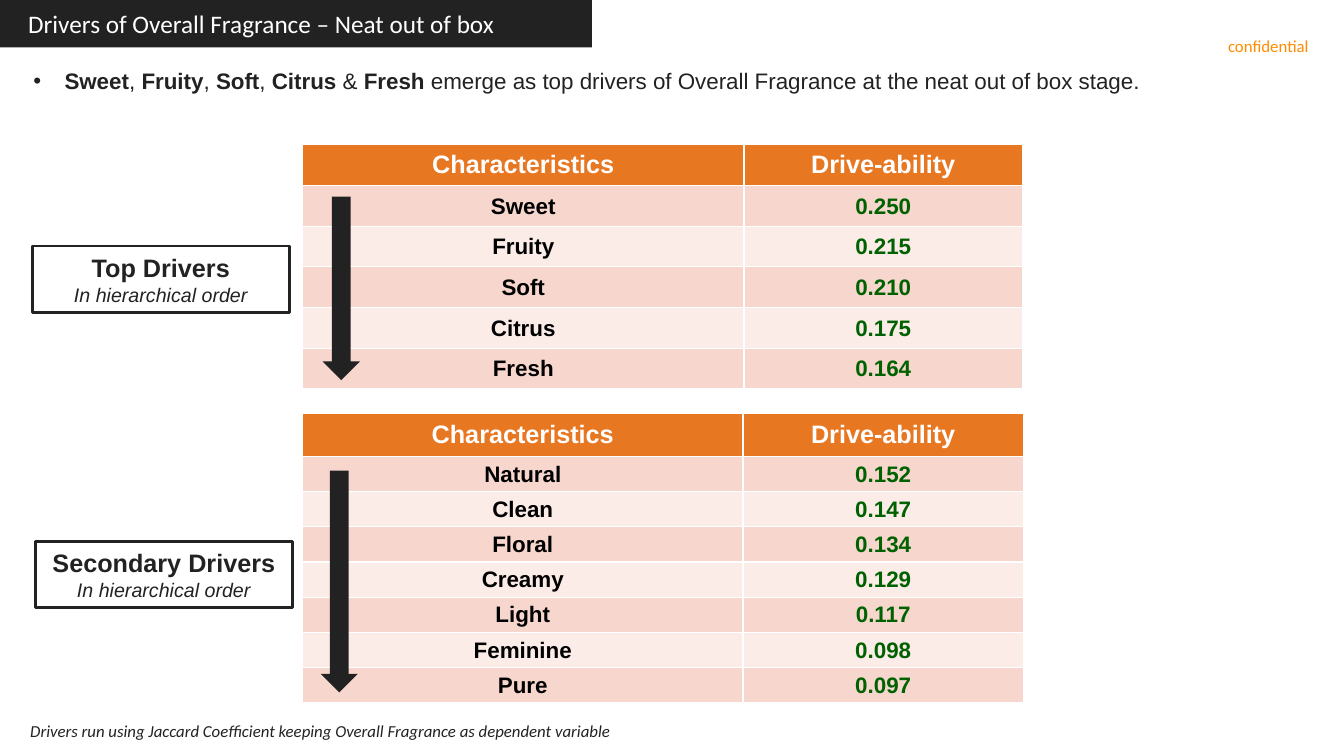
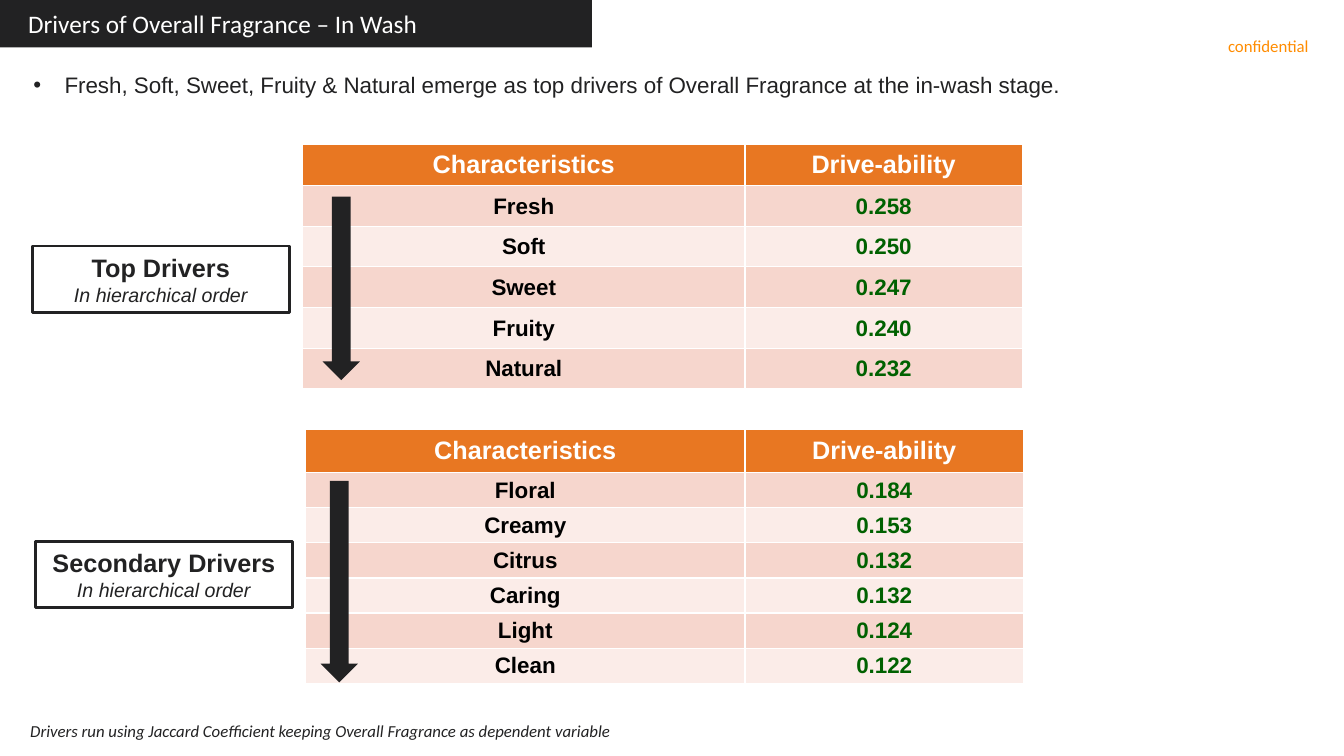
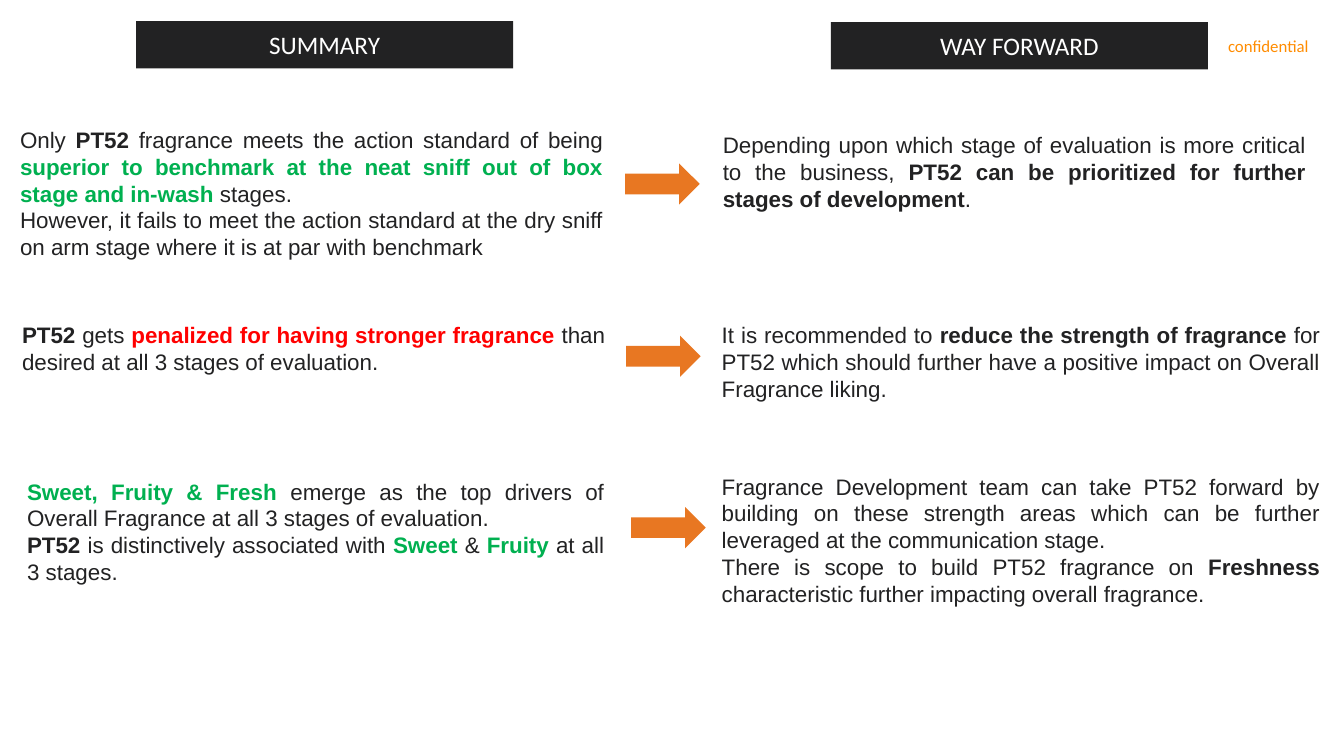
from dataclasses import dataclass
from typing import NamedTuple

import pptx
import pptx.dml.color
import pptx.enum.shapes
import pptx.enum.text
import pptx.util
from pptx.util import Inches

RGBColor = pptx.dml.color.RGBColor
Align = pptx.enum.text.PP_ALIGN
Anchor = pptx.enum.text.MSO_ANCHOR
Preset = pptx.enum.shapes.MSO_SHAPE

INK = RGBColor(0x22, 0x22, 0x23)
WHITE = RGBColor(0xFF, 0xFF, 0xFF)
BLACK = RGBColor(0x00, 0x00, 0x00)
ORANGE = RGBColor(0xE8, 0x77, 0x22)
CONFIDENTIAL_ORANGE = RGBColor(0xFF, 0x8C, 0x00)
SCORE_GREEN = RGBColor(0x00, 0x61, 0x00)
PRAISE_GREEN = RGBColor(0x00, 0xB0, 0x50)
ALERT_RED = RGBColor(0xFF, 0x00, 0x00)
ROW_TINTS = (RGBColor(0xF6, 0xD6, 0xCD), RGBColor(0xFB, 0xEC, 0xE8))

HEADING_FONT = "Calibri"
BODY_FONT = "Arial"
BAND_HEIGHT = 0.47
TITLE_AND_CONTENT, TITLE_ONLY = 1, 5
FOOTNOTE = "Drivers run using Jaccard Coefficient keeping Overall Fragrance as dependent variable"


class Box(NamedTuple):
    left: float
    top: float
    width: float
    height: float

    def lengths(self) -> tuple:
        return tuple(Inches(value) for value in self)


class Run(NamedTuple):
    text: str
    bold: bool = False
    color: RGBColor = INK


@dataclass
class DriverGroup:
    label: str
    label_box: Box
    table_box: Box
    header_height: float
    first_column: float
    arrow_box: Box
    scores: dict[str, str]


@dataclass
class DriverSlide:
    title: str
    bullet: list[Run]
    bullet_top: float
    groups: list[DriverGroup]


@dataclass
class Finding:
    summary_box: Box
    summary: list[list[Run]]
    action_box: Box
    action: list[list[Run]]
    arrow_left: float
    arrow_top: float


TOP_LABEL = Box(0.32, 2.44, 2.55, 0.66)
SECONDARY_LABEL = Box(0.35, 5.37, 2.55, 0.66)
TOP_TABLE = Box(3, 1.43, 7.14, 2.43)
TOP_ARROW = Box(3.2, 1.95, 0.37, 1.82)

DRIVER_SLIDES = [
    DriverSlide(
        "Drivers of Overall Fragrance – Neat out of box",
        [Run("Sweet", True), Run(", "), Run("Fruity", True), Run(", "), Run("Soft", True),
         Run(", "), Run("Citrus ", True), Run("& "), Run("Fresh ", True),
         Run("emerge as top drivers of Overall Fragrance at the neat out of box stage.")],
        0.62,
        [DriverGroup("Top Drivers", TOP_LABEL, TOP_TABLE, 0.41, 4.38, TOP_ARROW,
                     {"Sweet": "0.250", "Fruity": "0.215", "Soft": "0.210",
                      "Citrus": "0.175", "Fresh": "0.164"}),
         DriverGroup("Secondary Drivers", SECONDARY_LABEL, Box(3, 4.1, 7.15, 2.87), 0.43, 4.37,
                     Box(3.18, 4.67, 0.37, 2.2),
                     {"Natural": "0.152", "Clean": "0.147", "Floral": "0.134", "Creamy": "0.129",
                      "Light": "0.117", "Feminine": "0.098", "Pure": "0.097"})]),
    DriverSlide(
        "Drivers of Overall Fragrance – In Wash",
        [Run("Fresh, Soft, Sweet, Fruity & Natural emerge as top drivers of Overall Fragrance "
             "at the in-wash stage.")],
        0.66,
        [DriverGroup("Top Drivers", TOP_LABEL, TOP_TABLE, 0.41, 4.39, TOP_ARROW,
                     {"Fresh": "0.258", "Soft": "0.250", "Sweet": "0.247",
                      "Fruity": "0.240", "Natural": "0.232"}),
         DriverGroup("Secondary Drivers", SECONDARY_LABEL, Box(3.03, 4.26, 7.12, 2.52), 0.43, 4.36,
                     Box(3.18, 4.77, 0.37, 2),
                     {"Floral": "0.184", "Creamy": "0.153", "Citrus": "0.132",
                      "Caring": "0.132", "Light": "0.124", "Clean": "0.122"})]),
]

FINDINGS = [
    Finding(
        Box(0.1, 1.2, 5.98, 1.45),
        [[Run("Only "), Run("PT52 ", True), Run("fragrance meets the action standard of being "),
          Run("superior to benchmark at the neat sniff out of box stage and in-wash",
              True, PRAISE_GREEN),
          Run(" stages.")],
         [Run("However, it fails to meet the action standard at the dry sniff on arm stage "
              "where it is at par with benchmark")]],
        Box(7.07, 1.25, 5.98, 0.91),
        [[Run("Depending upon which stage of evaluation is more critical to the business, "),
          Run("PT52 can be prioritized for further stages of development", True), Run(".")]],
        6.2, 1.62),
    Finding(
        Box(0.12, 3.14, 5.98, 0.64),
        [[Run("PT52 ", True), Run("gets "),
          Run("penalized for having stronger fragrance", True, ALERT_RED),
          Run(" than desired at all 3 stages of evaluation.")]],
        Box(7.06, 3.14, 6.13, 0.91),
        [[Run("It is recommended to "), Run("reduce the strength of fragrance ", True),
          Run("for PT52 which should further have a positive impact on Overall Fragrance "
              "liking.")]],
        6.21, 3.33),
    Finding(
        Box(0.17, 4.69, 5.92, 1.18),
        [[Run("Sweet, Fruity & Fresh ", True, PRAISE_GREEN),
          Run("emerge as the top drivers of Overall Fragrance at all 3 stages of evaluation.")],
         [Run("PT52", True), Run(" is distinctively associated with "),
          Run("Sweet ", True, PRAISE_GREEN), Run("& "), Run("Fruity ", True, PRAISE_GREEN),
          Run("at all 3 stages.")]],
        Box(7.06, 4.64, 6.13, 1.45),
        [[Run("Fragrance Development team can take PT52 forward by building on these strength "
              "areas which can be further leveraged at the communication stage.")],
         [Run("There is scope to build PT52 fragrance on "), Run("Freshness ", True),
          Run("characteristic further impacting overall fragrance.")]],
        6.26, 5.03),
]


def style_paragraph(paragraph, size: float, color: RGBColor, font: str = BODY_FONT,
                    align=Align.LEFT, bold: bool = False, italic: bool = False) -> None:
    paragraph.alignment = align
    paragraph.font.name = font
    paragraph.font.size = pptx.util.Pt(size)
    paragraph.font.color.rgb = color
    paragraph.font.bold = bold
    paragraph.font.italic = italic


def write_runs(paragraph, runs: list[Run], align) -> None:
    style_paragraph(paragraph, 16, INK, align=align)
    for part in runs:
        run = paragraph.add_run()
        run.text = part.text
        run.font.bold = part.bold
        run.font.color.rgb = part.color


def place(shape, box: Box) -> None:
    shape.left, shape.top, shape.width, shape.height = box.lengths()


def add_filled_shape(slide, preset, box: Box, fill: RGBColor):
    shape = slide.shapes.add_shape(preset, *box.lengths())
    shape.shadow.inherit = False
    shape.fill.solid()
    shape.fill.fore_color.rgb = fill
    shape.line.fill.background()
    return shape


def add_text_box(slide, box: Box):
    text_box = slide.shapes.add_textbox(*box.lengths())
    text_box.text_frame.word_wrap = True
    return text_box


def format_band(band, text: str, box: Box, align) -> None:
    """Turn a title or a rectangle into a dark heading band."""
    place(band, box)
    band.fill.solid()
    band.fill.fore_color.rgb = INK
    frame = band.text_frame
    frame.text = text
    frame.vertical_anchor = Anchor.MIDDLE
    frame.margin_left = frame.margin_right = Inches(0.28)
    frame.margin_top = frame.margin_bottom = Inches(0.03)
    style_paragraph(frame.paragraphs[0], 18, WHITE, HEADING_FONT, align)


def add_confidential_mark(prs, slide) -> None:
    """Write the mark on a slide, then move it to the master so that all slides show it."""
    mark = add_text_box(slide, Box(12.18, 0.35, 0.84, 0.2))
    frame = mark.text_frame
    frame.word_wrap = False
    frame.margin_left = frame.margin_right = frame.margin_top = frame.margin_bottom = 0
    frame.text = "confidential"
    style_paragraph(frame.paragraphs[0], 12, CONFIDENTIAL_ORANGE, HEADING_FONT)
    prs.slide_master.shapes.element.append(mark.element)


def fill_cell(cell, text: str, fill: RGBColor, size: float, color: RGBColor) -> None:
    cell.text = text
    cell.vertical_anchor = Anchor.MIDDLE
    cell.fill.solid()
    cell.fill.fore_color.rgb = fill
    style_paragraph(cell.text_frame.paragraphs[0], size, color, align=Align.CENTER, bold=True)


def add_driver_table(slide, group: DriverGroup) -> None:
    box = group.table_box
    row_count = len(group.scores)
    table = slide.shapes.add_table(row_count + 1, 2, *box.lengths()).table
    table.columns[0].width = Inches(group.first_column)
    table.columns[1].width = Inches(box.width - group.first_column)
    table.rows[0].height = Inches(group.header_height)
    for column, heading in enumerate(("Characteristics", "Drive-ability")):
        fill_cell(table.cell(0, column), heading, ORANGE, 18, WHITE)
    for row, score in enumerate(group.scores.items(), start=1):
        table.rows[row].height = Inches((box.height - group.header_height) / row_count)
        for column, color in enumerate((BLACK, SCORE_GREEN)):
            cell = table.cell(row, column)
            fill_cell(cell, score[column], ROW_TINTS[(row - 1) % 2], 16, color)
            cell.margin_left = cell.margin_right = cell.margin_top = Inches(0.01)
            cell.margin_bottom = 0


def add_group_label(slide, group: DriverGroup) -> None:
    label = add_filled_shape(slide, Preset.RECTANGLE, group.label_box, WHITE)
    label.line.color.rgb = INK
    label.line.width = pptx.util.Pt(2)
    frame = label.text_frame
    frame.vertical_anchor = Anchor.MIDDLE
    frame.text = f"{group.label}\nIn hierarchical order"
    name, order = frame.paragraphs
    style_paragraph(name, 18, INK, align=Align.CENTER, bold=True)
    style_paragraph(order, 14, INK, align=Align.CENTER, italic=True)


def add_footnote(slide) -> None:
    frame = add_text_box(slide, Box(0.17, 7.08, 7.78, 0.34)).text_frame
    frame.margin_left = frame.margin_right = Inches(0.13)
    frame.margin_top = frame.margin_bottom = Inches(0.07)
    frame.text = FOOTNOTE
    style_paragraph(frame.paragraphs[0], 12, INK, HEADING_FONT, italic=True)


def build_driver_slide(prs, content: DriverSlide):
    slide = prs.slides.add_slide(prs.slide_layouts[TITLE_AND_CONTENT])
    format_band(slide.shapes.title, content.title, Box(0, 0, 5.87, BAND_HEIGHT), Align.LEFT)
    body = slide.placeholders[1]
    place(body, Box(0.23, content.bullet_top, 12.68, 0.37))
    bullet = body.text_frame.paragraphs[0]
    write_runs(bullet, content.bullet, Align.LEFT)
    bullet.space_before = pptx.util.Pt(0)
    indents = bullet._p.get_or_add_pPr()
    indents.set("marL", str(Inches(0.31)))
    indents.set("indent", str(-Inches(0.31)))
    for group in content.groups:
        add_driver_table(slide, group)
        add_group_label(slide, group)
        add_filled_shape(slide, Preset.DOWN_ARROW, group.arrow_box, INK)
    add_footnote(slide)
    return slide


def add_statement(slide, box: Box, paragraphs: list[list[Run]]) -> None:
    frame = add_text_box(slide, box).text_frame
    for index, runs in enumerate(paragraphs):
        paragraph = frame.add_paragraph() if index else frame.paragraphs[0]
        write_runs(paragraph, runs, Align.JUSTIFY)


def build_summary_slide(prs) -> None:
    slide = prs.slides.add_slide(prs.slide_layouts[TITLE_ONLY])
    summary_band = Box(1.35, 0.21, 3.74, BAND_HEIGHT)
    forward_band = Box(8.24, 0.22, 3.74, BAND_HEIGHT)
    format_band(slide.shapes.title, "SUMMARY", summary_band, Align.CENTER)
    way_forward = add_filled_shape(slide, Preset.RECTANGLE, forward_band, INK)
    format_band(way_forward, "WAY FORWARD", forward_band, Align.CENTER)
    for finding in FINDINGS:
        add_statement(slide, finding.summary_box, finding.summary)
        add_statement(slide, finding.action_box, finding.action)
        arrow_box = Box(finding.arrow_left, finding.arrow_top, 0.74, 0.41)
        add_filled_shape(slide, Preset.RIGHT_ARROW, arrow_box, ORANGE)


def main() -> None:
    prs = pptx.Presentation()
    prs.slide_width, prs.slide_height = Inches(13.33), Inches(7.5)
    driver_slides = [build_driver_slide(prs, content) for content in DRIVER_SLIDES]
    build_summary_slide(prs)
    add_confidential_mark(prs, driver_slides[0])
    prs.save("out.pptx")


if __name__ == "__main__":
    main()
